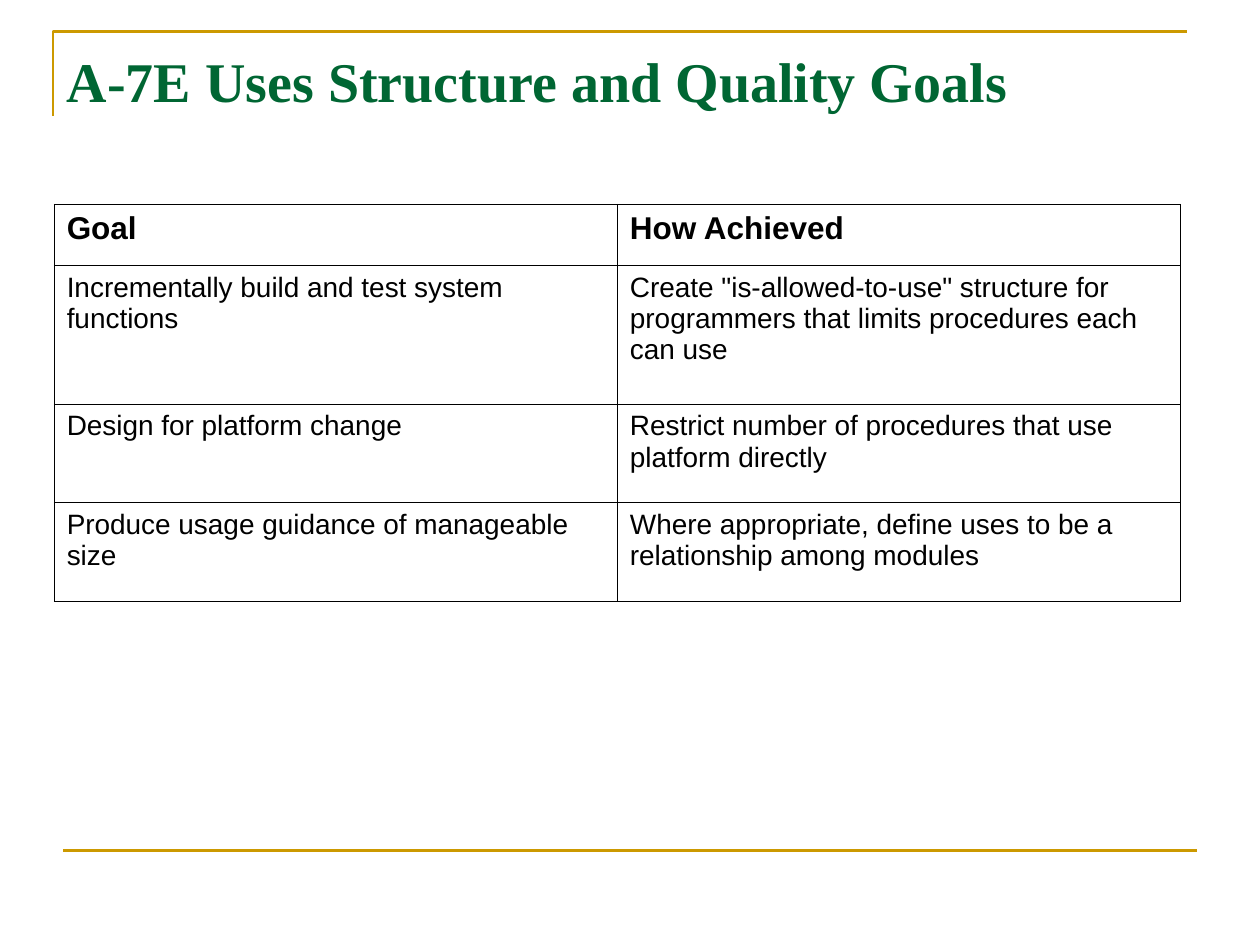
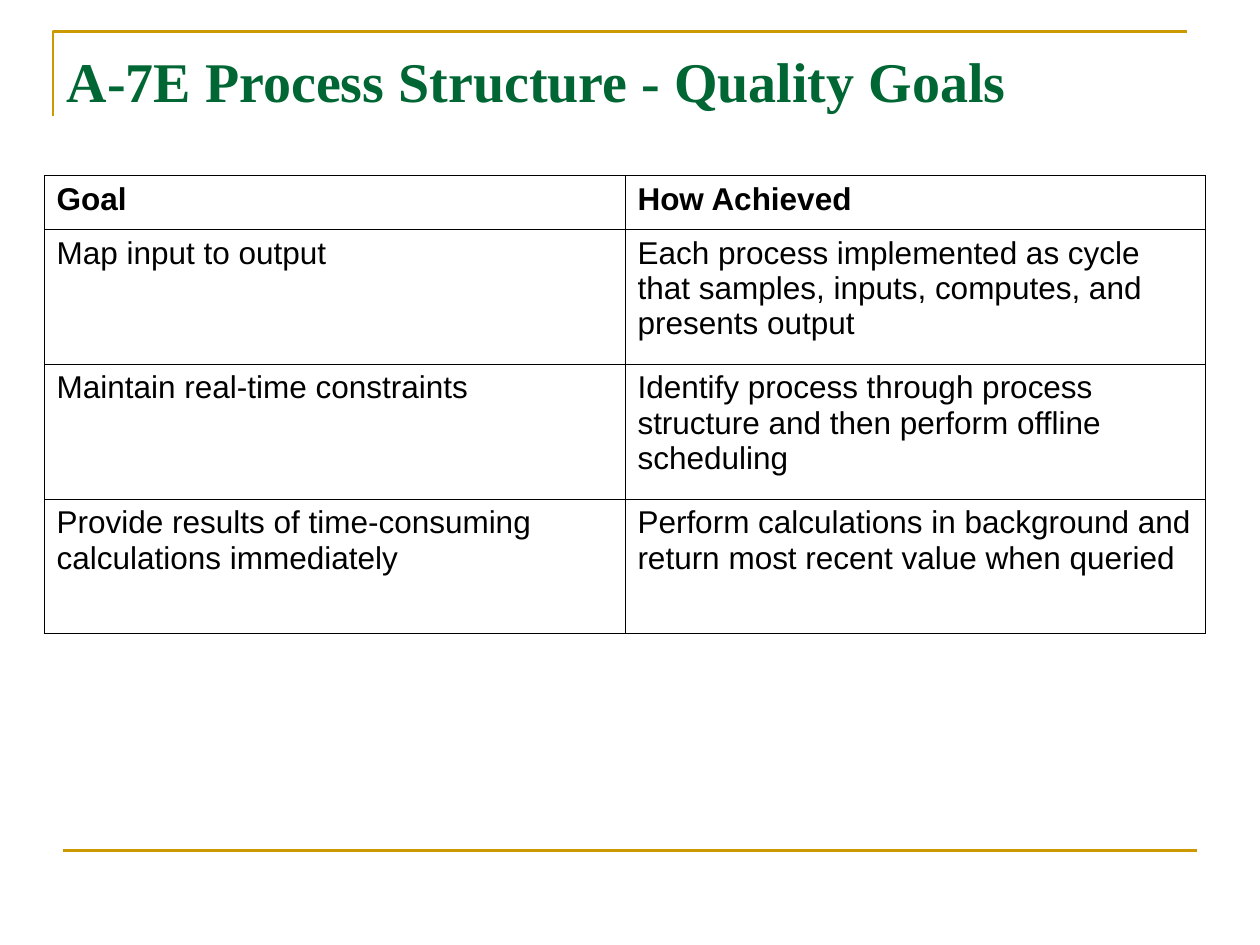
from lxml import etree
from pptx import Presentation
from pptx.dml.color import RGBColor
from pptx.enum.shapes import MSO_CONNECTOR as Connector
from pptx.enum.text import MSO_ANCHOR as Anchor, PP_ALIGN as Align
from pptx.oxml.ns import qn
from pptx.util import Inches, Pt

# Shared style
GOLD, GREEN, BLACK, WHITE = "CC9900", "006633", "000000", "FFFFFF"
TITLE_FONT, BODY_FONT = "Times New Roman", "Arial"
RULE_WIDTH = Pt(1.5)
BORDER_WIDTH = Pt(0.45)
HEADINGS = ("Goal", "How Achieved")

# Slide content
USES_ROWS = [
    ("Incrementally build and test system functions",
     'Create "is-allowed-to-use" structure for programmers that limits procedures each can use'),
    ("Design for platform change",
     "Restrict number of procedures that use platform directly"),
    ("Produce usage guidance of manageable size",
     "Where appropriate, define uses to be a relationship among modules"),
]
PROCESS_ROWS = [
    ("Map input to output",
     "Each process implemented as cycle that samples, inputs, computes, and presents output"),
    ("Maintain real-time constraints",
     "Identify process through process structure and then perform offline scheduling"),
    ("Provide results of time-consuming calculations immediately",
     "Perform calculations in background and return most recent value when queried"),
]


def color(hex_string):
    return RGBColor.from_string(hex_string)


def write_text(text_frame, text, font=BODY_FONT, size=18, bold=False, ink=BLACK):
    text_frame.word_wrap = True
    paragraph = text_frame.paragraphs[0]
    paragraph.alignment = Align.LEFT
    run = paragraph.add_run()
    run.text = text
    run.font.name = font
    run.font.size = Pt(size)
    run.font.bold = bold
    run.font.color.rgb = color(ink)


def style_rule(shape):
    shape.line.color.rgb = color(GOLD)
    shape.line.width = RULE_WIDTH


def add_frame(slide):
    """Gold corner around the title and gold line above the footer."""
    builder = slide.shapes.build_freeform(Inches(0.42), Inches(0.92))
    builder.add_line_segments(
        [(Inches(0.42), Inches(0.25)), (Inches(9.42), Inches(0.25))], close=False)
    corner = builder.convert_to_shape()
    corner.shadow.inherit = False
    corner.fill.background()
    style_rule(corner)

    footer_line = slide.shapes.add_connector(
        Connector.STRAIGHT, Inches(0.5), Inches(6.75), Inches(9.5), Inches(6.75))
    style_rule(footer_line)
    etree.SubElement(footer_line._element.spPr, qn("a:effectLst"))


def add_title(slide, text):
    title = slide.shapes.title
    title.left, title.top = Inches(0.43), Inches(0.28)
    title.width, title.height = Inches(9), Inches(0.71)
    title.text_frame.vertical_anchor = Anchor.MIDDLE
    write_text(title.text_frame, text, font=TITLE_FONT, size=32, bold=True, ink=GREEN)


def set_borders(cell):
    properties = cell._tc.get_or_add_tcPr()
    for side in ("a:lnL", "a:lnR", "a:lnT", "a:lnB"):
        border = etree.SubElement(properties, qn(side), w=str(BORDER_WIDTH))
        fill = etree.SubElement(border, qn("a:solidFill"))
        etree.SubElement(fill, qn("a:srgbClr"), val=BLACK)


def add_goal_table(slide, rows, left, top, column_width, row_heights, body_size):
    cells = [HEADINGS, *rows]
    frame = slide.shapes.add_table(
        len(cells), len(HEADINGS), Inches(left), Inches(top),
        Inches(column_width * len(HEADINGS)), Inches(sum(row_heights)))
    table = frame.table
    table.first_row = table.horz_banding = False
    for column in table.columns:
        column.width = Inches(column_width)
    for row_index, (texts, height) in enumerate(zip(cells, row_heights)):
        table.rows[row_index].height = Inches(height)
        is_heading = row_index == 0
        for column_index, text in enumerate(texts):
            cell = table.cell(row_index, column_index)
            set_borders(cell)
            cell.fill.solid()
            cell.fill.fore_color.rgb = color(WHITE)
            write_text(cell.text_frame, text, bold=is_heading,
                       size=18 if is_heading else body_size)


def add_goal_slide(presentation, title, rows, **table_format):
    slide = presentation.slides.add_slide(presentation.slide_layouts[5])
    add_frame(slide)
    add_title(slide, title)
    add_goal_table(slide, rows, **table_format)


def main():
    presentation = Presentation()
    presentation.slide_width, presentation.slide_height = Inches(10), Inches(7.5)

    add_goal_slide(presentation, "A-7E Uses Structure and Quality Goals", USES_ROWS,
                   left=0.43, top=1.62, column_width=4.47,
                   row_heights=(0.49, 1.1, 0.78, 0.78), body_size=16)
    add_goal_slide(presentation, "A-7E Process Structure - Quality Goals", PROCESS_ROWS,
                   left=0.35, top=1.39, column_width=4.61,
                   row_heights=(0.43, 1.07, 1.07, 1.07), body_size=18)

    presentation.save("out.pptx")


if __name__ == "__main__":
    main()
